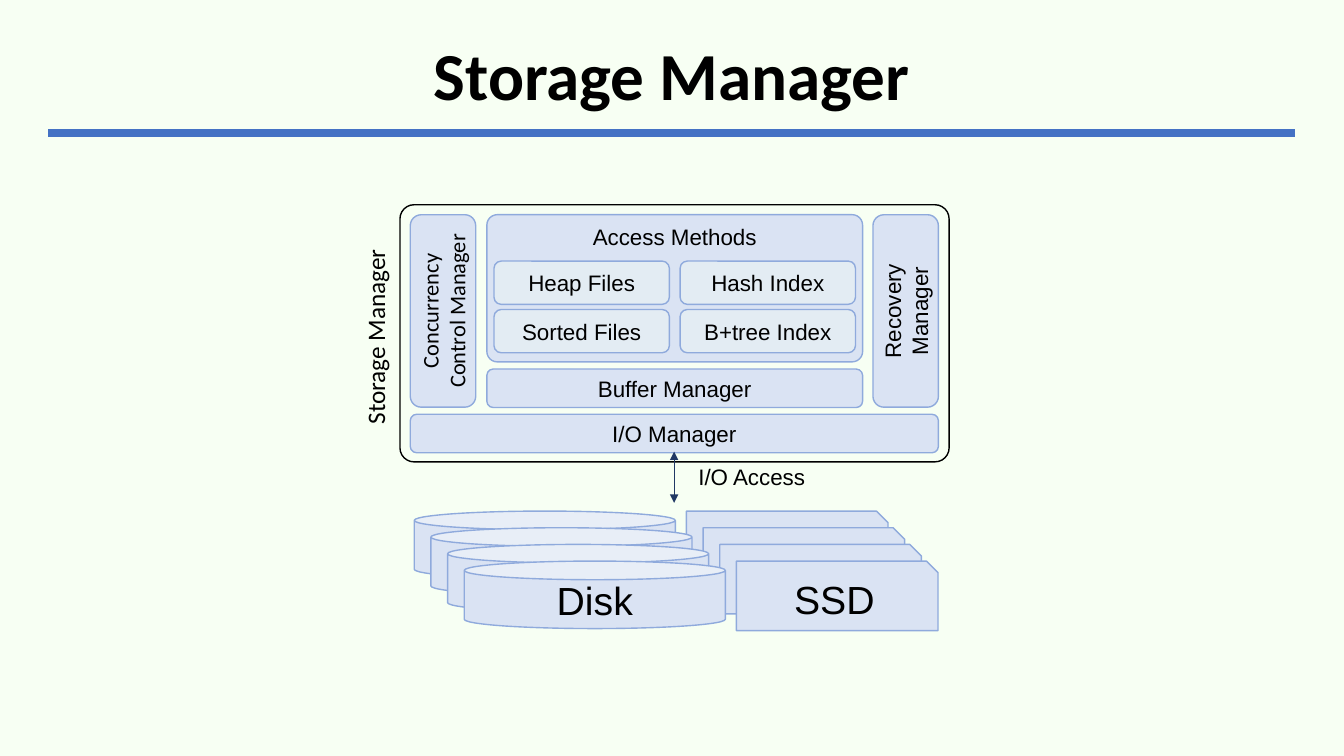
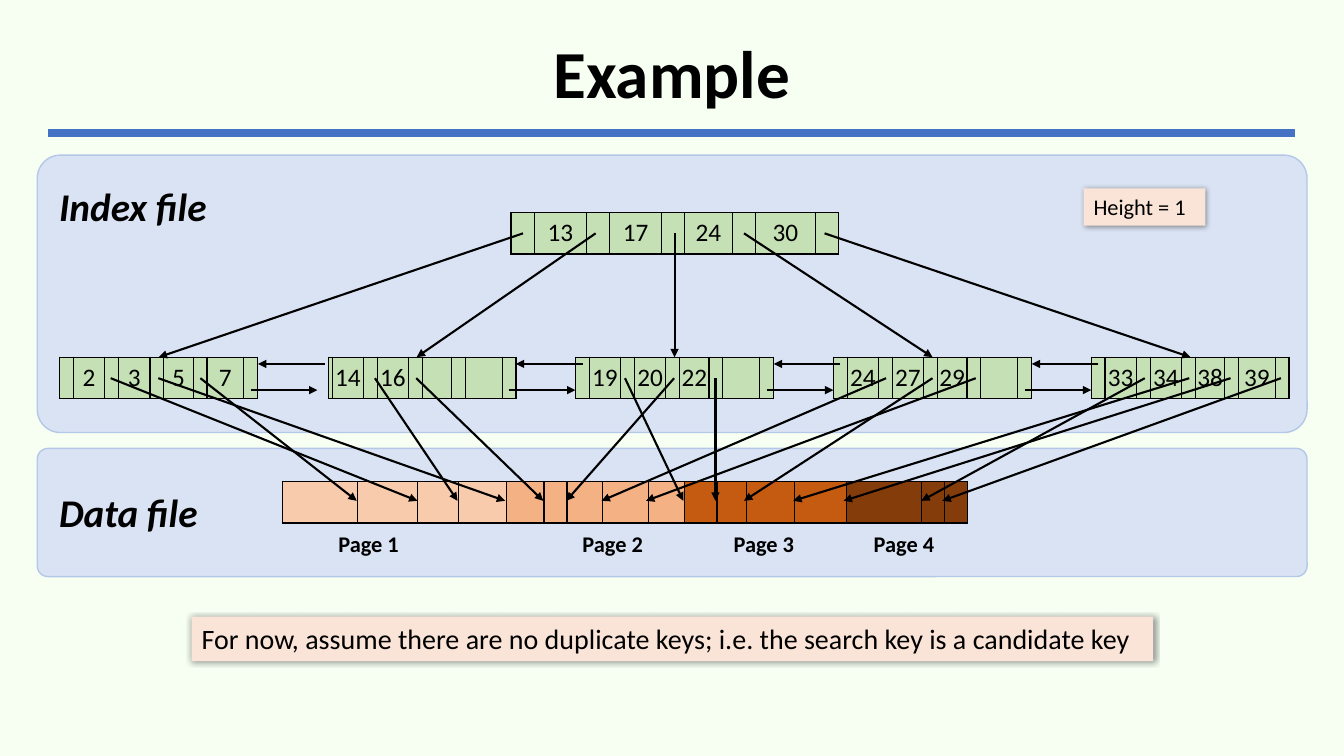
from lxml.etree import SubElement
from pptx import Presentation
from pptx.dml.color import RGBColor
from pptx.enum.shapes import MSO_CONNECTOR, MSO_SHAPE
from pptx.enum.text import MSO_ANCHOR, PP_ALIGN
from pptx.oxml.ns import qn
from pptx.util import Cm, Pt

COLORS = {
    "background": "F7FFF3",
    "rule": "4472C4",
    "black": "000000",
    "panel": "DAE3F3",
    "panel edge": "B4C7E7",
    "part": "E3ECF3",
    "part edge": "8FAADC",
    "navy": "203864",
    "node": "C5E0B4",
    "page 1": "F8CBAD",
    "page 2": "F4B183",
    "page 3": "C55A11",
    "page 4": "843C0B",
    "note": "FAE4D7",
}
RGB = {name: RGBColor.from_string(value) for name, value in COLORS.items()}


def add_block(slide, kind, place, fill=None, edge=None, text="", size=16, font="Arial",
              align=PP_ALIGN.CENTER, anchor=MSO_ANCHOR.MIDDLE, bold=False, italic=False,
              corner=None, turn=0):
    """Add a preset shape, or a text box if kind is None; place is in cm."""
    left, top, width, height = [Cm(length) for length in place]
    if kind is None:
        block = slide.shapes.add_textbox(left, top, width, height)
    else:
        block = slide.shapes.add_shape(kind, left, top, width, height)
        block.shadow.inherit = False
        if fill:
            block.fill.solid()
            block.fill.fore_color.rgb = RGB[fill]
        else:
            block.fill.background()
        if edge:
            block.line.color.rgb = RGB[edge]
            block.line.width = Pt(1)
        else:
            block.line.fill.background()
        if corner:
            block.adjustments[0] = corner
    block.rotation = turn
    if text:
        frame = block.text_frame
        frame.word_wrap = True
        frame.vertical_anchor = anchor
        frame.text = text
        paragraph = frame.paragraphs[0]
        paragraph.alignment = align
        letters = paragraph.runs[0].font
        letters.name, letters.size = font, Pt(size)
        letters.bold, letters.italic = bold, italic
        letters.color.rgb = RGB["black"]
    return block


def add_line(slide, start, end, color="black", width=1.5, heads=("tailEnd",)):
    """Connect two points given in cm, with a triangle at each end named in heads."""
    link = slide.shapes.add_connector(
        MSO_CONNECTOR.STRAIGHT, *[Cm(length) for length in (*start, *end)])
    link.line.color.rgb = RGB[color]
    link.line.width = Pt(width)
    properties = link.element.spPr
    for head in heads:
        SubElement(properties.find(qn("a:ln")), qn(f"a:{head}"), type="triangle")
    SubElement(properties, qn("a:effectLst"))


prs = Presentation()
prs.slide_width, prs.slide_height = Cm(33.87), Cm(19.05)

# Shared background, rule and title
slides = []
for title, title_height in (("Storage Manager", 2.77), ("Example", 2.64)):
    slide = prs.slides.add_slide(prs.slide_layouts[6])
    slide.background.fill.solid()
    slide.background.fill.fore_color.rgb = RGB["background"]
    add_line(slide, (1.22, 3.35), (32.64, 3.35), "rule", 6, ())
    heading = add_block(slide, None, (1.22, 0.61, 31.42, title_height), text=title,
                        size=48, font="Calibri", bold=True)
    heading.text_frame.paragraphs[0].line_spacing = 0.9
    slides.append(slide)
manager, example = slides

# Storage Manager: stacks of devices, front one labelled
STACK_STEP = 0.42
for device, kind, left, width, height, corner in (
    ("SSD", MSO_SHAPE.SNIP_1_RECTANGLE, 17.3, 5.08, 1.75, None),
    ("Disk", MSO_SHAPE.CAN, 10.44, 6.58, 1.7, 0.276),
):
    for i in range(4):
        add_block(manager, kind,
                  (left + i * STACK_STEP, 12.88 + i * STACK_STEP, width, height),
                  "panel", "part edge", device if i == 3 else "", 28, corner=corner)

# Storage Manager: components
ROUNDED = MSO_SHAPE.ROUNDED_RECTANGLE
add_block(manager, ROUNDED, (10.08, 5.16, 13.84, 6.48), edge="black", corner=0.055)
add_block(manager, ROUNDED, (12.27, 5.41, 9.47, 3.71), "panel", "part edge",
          "Access Methods", anchor=MSO_ANCHOR.TOP, corner=0.071)
for component, place, font, turn in (
    ("Buffer Manager", (12.27, 9.3, 9.47, 0.97), "Arial", 0),
    ("I/O Manager", (10.34, 10.44, 13.31, 0.97), "Arial", 0),
    ("Recovery Manager", (20.4, 7.01, 4.85, 1.65), "Arial", 270),
    ("Concurrency Control Manager", (8.74, 7.01, 4.85, 1.65), "Calibri", 270),
):
    add_block(manager, ROUNDED, place, "panel", "part edge", component, font=font, turn=turn)

access_methods = (("Heap Files", "Hash Index"), ("Sorted Files", "B+tree Index"))
for row, methods in enumerate(access_methods):
    for column, method in enumerate(methods):
        add_block(manager, ROUNDED, (12.45 + 4.69 * column, 6.58 + 1.22 * row, 4.42, 1.09),
                  "part", "part edge", method)

add_line(manager, (16.99, 11.38), (16.99, 12.67), "navy", 0.5, ("headEnd", "tailEnd"))
add_block(manager, None, (16.99, 11.53, 3.91, 0.97), text="I/O Access")
add_block(manager, None, (6.91, 7.92, 5.08, 0.97), text="Storage Manager", size=18,
          font="Calibri", align=PP_ALIGN.LEFT, turn=270)

# Example: panels with their labels
for label, panel_top, panel_height, label_top in (
    ("Data file", 11.3, 3.23, 12.19),
    ("Index file", 3.91, 6.99, 4.47),
):
    add_block(example, ROUNDED, (0.94, panel_top, 32, panel_height), "panel", "panel edge",
              corner=0.083)
    add_block(example, None, (1.24, label_top, 4.75, 1.45), text=label, size=28,
              font="Calibri", align=PP_ALIGN.LEFT, anchor=MSO_ANCHOR.TOP,
              bold=True, italic=True)

# Example: data pages, root and leaves; each node alternates pointers and keys
LEAF_LEFT, LEAF_TOP, LEAF_PITCH = 1.5, 9, 6.5
POINTER, NARROW_POINTER = 0.35, 0.08
page_fills = [f"page {page}" for page, records in enumerate((4, 5, 4, 3), 1)
              for _ in range(records)]
record_widths = [1.9, 1.52, 1.02, 1.22, 0.94, 0.58, 0.89, 1.17, 0.91,
                 0.81, 0.74, 1.22, 1.3, 1.9, 0.58, 0.58]
root_widths = [0.58, 1.32, 0.58, 1.32, 0.58, 1.19, 0.58, 1.52, 0.58]
leaf_widths = [POINTER, 0.79, POINTER, 0.79, POINTER, 0.74, POINTER, 0.92, POINTER]
node_fills = ["node"] * len(leaf_widths)

strips = [
    (7.11, 12.14, record_widths, page_fills, []),
    (12.88, 5.36, root_widths, node_fills, ["13", "17", "24", "30"]),
]
leaves = (["2", "3", "5", "7"], ["14", "16"], ["19", "20", "22"],
          ["24", "27", "29"], ["33", "34", "38", "39"])
for i, keys in enumerate(leaves):
    left, widths = LEAF_LEFT + i * LEAF_PITCH, leaf_widths
    if i == 1:
        left += POINTER - NARROW_POINTER
        widths = [NARROW_POINTER] + leaf_widths[1:]
    strips.append((left, LEAF_TOP, widths, node_fills, keys))

for left, top, widths, fills, keys in strips:
    table = example.shapes.add_table(1, len(widths), Cm(left), Cm(top),
                                     Cm(sum(widths)), Cm(1.04)).table
    table.first_row = table.horz_banding = False
    for column, (width, fill) in enumerate(zip(widths, fills)):
        table.columns[column].width = Cm(width)
        cell = table.cell(0, column)
        cell.margin_left = cell.margin_right = cell.margin_top = cell.margin_bottom = 0
        cell.vertical_anchor = MSO_ANCHOR.MIDDLE
        for side in ("lnL", "lnR", "lnT", "lnB"):
            border = SubElement(cell._tc.tcPr, qn(f"a:{side}"), w=str(Pt(1)))
            paint = SubElement(border, qn("a:solidFill"))
            SubElement(paint, qn("a:srgbClr"), val=COLORS["black"])
        cell.fill.solid()
        cell.fill.fore_color.rgb = RGB[fill]
        if column % 2 and column // 2 < len(keys):
            cell.text_frame.text = keys[column // 2]
            paragraph = cell.text_frame.paragraphs[0]
            paragraph.alignment = PP_ALIGN.CENTER
            digits = paragraph.runs[0].font
            digits.name, digits.size = "Calibri", Pt(18)
            digits.color.rgb = RGB["black"]

# Example: root to leaves, leaf to leaf, leaves to records
for i, start in enumerate((13.18, 15.01, 17, 18.75, 20.78)):
    add_line(example, (start, 5.88), (4 + i * LEAF_PITCH, LEAF_TOP))
for i in range(len(leaves) - 1):
    shift = i * LEAF_PITCH
    add_line(example, (8.18 + shift, 9.17), (6.5 + shift, 9.17))
    add_line(example, (6.32 + shift, 9.83), (8 + shift, 9.83))
for start, end in (
    (2.79, 10.52), (3.99, 12.73), (5.05, 8.99), (9.45, 11.53), (10.49, 13.69),
    (15.75, 17.22), (16.99, 14.27), (18.03, 18.03), (22.33, 15.16), (23.5, 18.75),
    (24.59, 16.28), (28.85, 23.22), (29.97, 19.99), (31.01, 21.26), (32.28, 23.75),
):
    add_line(example, (start, 9.53), (end, 12.62))

for page, left in enumerate((8.28, 14.43, 18.24, 21.77), 1):
    add_block(example, None, (left, 13.23, 2.21, 0.94), text=f"Page {page}",
              font="Calibri", align=PP_ALIGN.LEFT, anchor=MSO_ANCHOR.TOP, bold=True)

# Example: notes with a soft shadow
for note, place, size in (
    ("Height = 1", (27.31, 4.75, 3.07, 0.94), 16),
    ("For now, assume there are no duplicate keys; i.e. the search key is a candidate key",
     (4.83, 15.54, 24.23, 1.12), 20),
):
    card = add_block(example, MSO_SHAPE.RECTANGLE, place, "note", text=note, size=size,
                     font="Calibri", align=PP_ALIGN.LEFT, anchor=MSO_ANCHOR.TOP)
    effects = card.element.spPr.find(qn("a:effectLst"))
    shadow = SubElement(effects, qn("a:outerShdw"), blurRad=str(Pt(4)), dist=str(Pt(1)),
                        dir="2700000", algn="tl", rotWithShape="0")
    shade = SubElement(shadow, qn("a:srgbClr"), val=COLORS["black"])
    SubElement(shade, qn("a:alpha"), val="40000")

prs.save("out.pptx")
